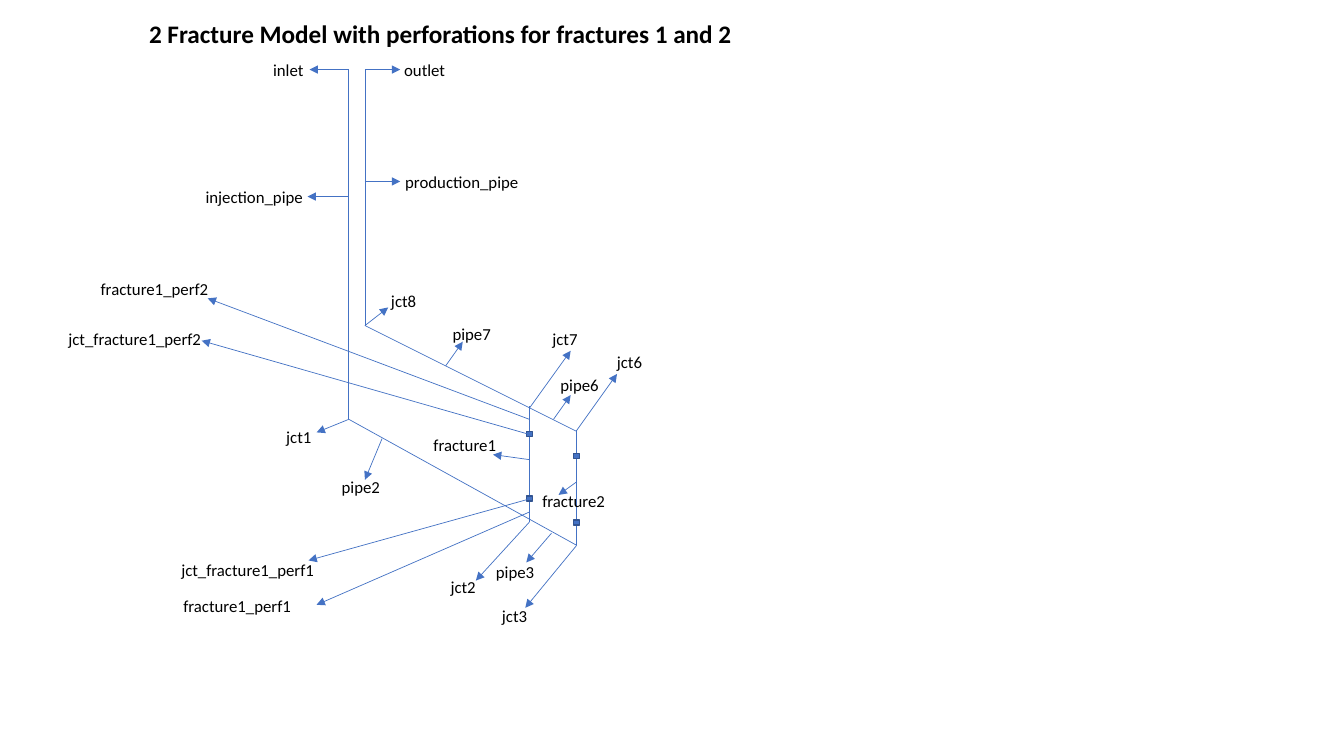
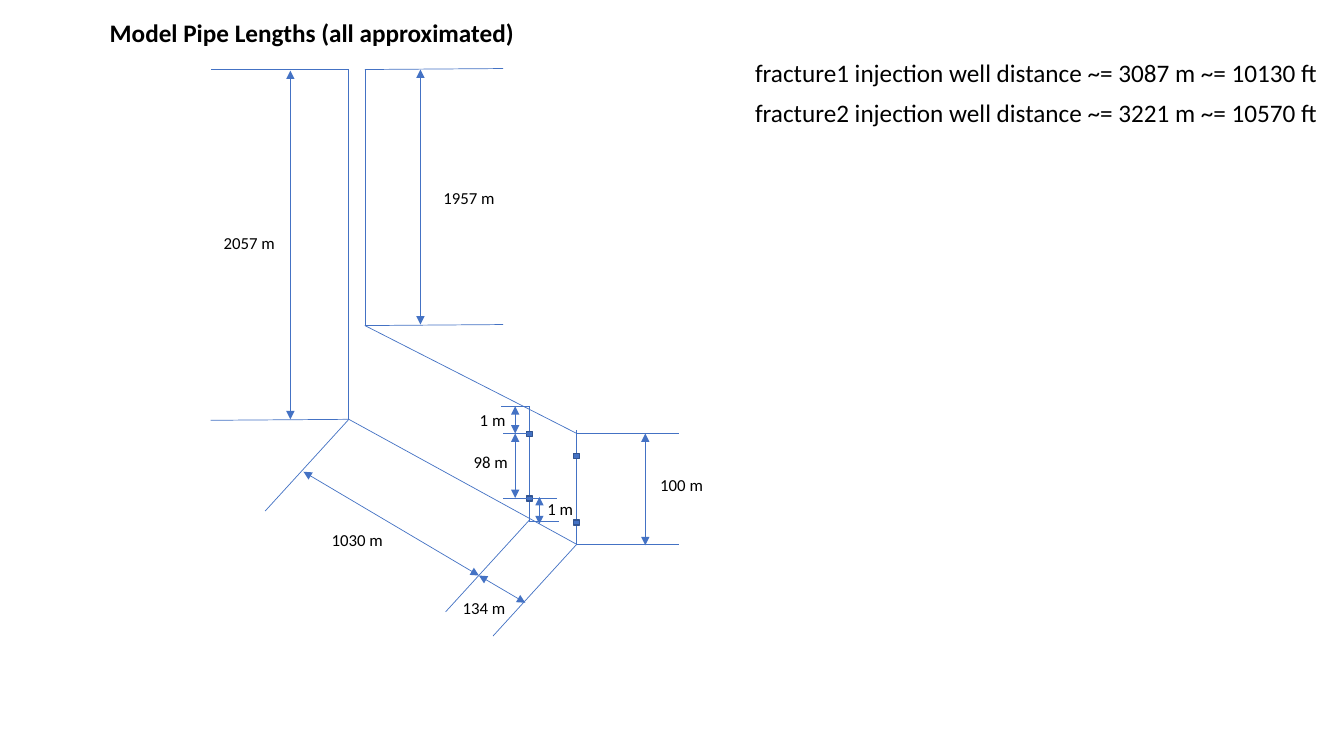
"""Build two slides that diagram a two-fracture well model."""
from typing import NamedTuple

from lxml.etree import SubElement
from pptx import Presentation
from pptx.dml.color import RGBColor
from pptx.enum.shapes import MSO_CONNECTOR as Connector
from pptx.enum.shapes import MSO_SHAPE as Shape
from pptx.enum.text import MSO_AUTO_SIZE as AutoSize
from pptx.oxml.ns import qn
from pptx.slide import Slide
from pptx.util import Pt

PX = 9144
FONT = "Calibri"
BLACK = RGBColor(0x00, 0x00, 0x00)
BLUE = RGBColor(0x44, 0x72, 0xC4)
DARK_BLUE = RGBColor(0x32, 0x54, 0x91)

INJECTION_X, PRODUCTION_X = 346, 362
FRACTURE1_X, FRACTURE2_X = 525, 572
SURFACE_Y, INJECTION_Y, PRODUCTION_Y = 69, 416, 323
PERFORATION_WIDTH, PERFORATION_HEIGHT = 6, 5


class Point(NamedTuple):
    x: int
    y: int


class Label(NamedTuple):
    text: str
    left: int
    top: int
    width: int = 80


class Callout(NamedTuple):
    start: Point
    tip: Point
    label: Label


class Dimension(NamedTuple):
    start: Point
    end: Point
    label: Label


INLET = Point(INJECTION_X, SURFACE_Y)
OUTLET = Point(PRODUCTION_X, SURFACE_Y)
INJECTION_BEND = Point(INJECTION_X, INJECTION_Y)
PRODUCTION_BEND = Point(PRODUCTION_X, PRODUCTION_Y)
FRACTURE1_TOP = Point(FRACTURE1_X, 403)
FRACTURE1_BOTTOM = Point(FRACTURE1_X, 518)
FRACTURE2_TOP = Point(FRACTURE2_X, 427)
FRACTURE2_BOTTOM = Point(FRACTURE2_X, 541)

PERFORATIONS = [
    Point(FRACTURE2_X, 516), Point(FRACTURE2_X, 450),
    Point(FRACTURE1_X, 492), Point(FRACTURE1_X, 428),
]

CALLOUTS = [
    Callout(INLET, Point(307, 69), Label("inlet", 261, 54, 53)),
    Callout(OUTLET, Point(397, 69), Label("outlet", 391, 54, 68)),
    Callout(Point(INJECTION_X, 195), Point(305, 195), Label("injection_pipe", 194, 180, 144)),
    Callout(Point(PRODUCTION_X, 180), Point(397, 180), Label("production_pipe", 392, 165, 144)),
    Callout(INJECTION_BEND, Point(314, 429), Label("jct1", 274, 418, 66)),
    Callout(Point(379, 435), Point(362, 476), Label("pipe2", 329, 468, 66)),
    Callout(FRACTURE1_BOTTOM, Point(472, 576), Label("jct2", 437, 567, 66)),
    Callout(Point(547, 529), Point(522, 558), Label("pipe3", 482, 552, 66)),
    Callout(FRACTURE2_BOTTOM, Point(521, 603), Label("jct3", 488, 596, 66)),
    Callout(FRACTURE2_TOP, Point(612, 371), Label("jct6", 602, 344, 66)),
    Callout(Point(549, 416), Point(566, 392), Label("pipe6", 546, 367, 66)),
    Callout(Point(FRACTURE1_X, 405), Point(566, 348), Label("jct7", 538, 321, 66)),
    Callout(Point(442, 363), Point(459, 339), Label("pipe7", 439, 316, 66)),
    Callout(PRODUCTION_BEND, Point(385, 305), Label("jct8", 378, 284, 66)),
    Callout(Point(FRACTURE1_X, 495), Point(306, 556), Label("jct_fracture1_perf1", 170, 550, 160)),
    Callout(Point(FRACTURE1_X, 508), Point(314, 600), Label("fracture1_perf1", 172, 586, 160)),
    Callout(Point(FRACTURE1_X, 431), Point(200, 338), Label("jct_fracture1_perf2", 58, 321, 160)),
    Callout(Point(FRACTURE1_X, 416), Point(206, 296), Label("fracture1_perf2", 90, 272, 160)),
    Callout(Point(FRACTURE1_X, 456), Point(489, 451), Label("fracture1", 420, 426, 88)),
    Callout(Point(FRACTURE2_X, 478), Point(554, 491), Label("fracture2", 528, 482, 88)),
]

DIMENSIONS = [
    Dimension(Point(288, 70), Point(288, 416), Label("2057 m", 212, 226, 76)),
    Dimension(Point(417, 69), Point(417, 322), Label("1957 m", 430, 181, 76)),
    Dimension(Point(301, 468), Point(475, 571), Label("1030 m", 319, 521)),
    Dimension(Point(475, 571), Point(521, 598), Label("134 m", 449, 588)),
    Dimension(Point(640, 430), Point(640, 541), Label("100 m", 645, 466)),
    Dimension(Point(511, 403), Point(511, 430), Label("1 m", 466, 402)),
    Dimension(Point(511, 430), Point(511, 494), Label("98 m", 460, 443)),
    Dimension(Point(535, 493), Point(535, 520), Label("1 m", 533, 490)),
]

EXTENSIONS = [
    (INLET, Point(209, 69)),
    (INJECTION_BEND, Point(209, 417)),
    (OUTLET, Point(499, 68)),
    (PRODUCTION_BEND, Point(499, 322)),
    (Point(FRACTURE2_X, 430), Point(673, 430)),
    (Point(FRACTURE2_X, 540), Point(673, 540)),
    (FRACTURE1_TOP, Point(497, 403)),
    (Point(527, 430), Point(499, 430)),
    (Point(527, 494), Point(499, 494)),
    (Point(524, 494), Point(552, 494)),
    (Point(526, 517), Point(554, 517)),
]
SLANT_STARTS = [INJECTION_BEND, Point(FRACTURE1_X, 516), Point(FRACTURE2_X, 540)]
SLANT = Point(-83, 91)

DISTANCES = [
    "fracture1 injection well distance ~= 3087 m ~= 10130 ft",
    "fracture2 injection well distance ~= 3221 m ~= 10570 ft",
]


def add_line(slide: Slide, start: Point, end: Point, *arrow_ends: str) -> None:
    """Draw a thin line with triangles at the named ends."""
    connector = slide.shapes.add_connector(
        Connector.STRAIGHT, start.x * PX, start.y * PX, end.x * PX, end.y * PX)
    connector.line.color.rgb = BLUE
    connector.line.width = Pt(0.5)
    properties = connector.element.spPr
    for arrow_end in arrow_ends:
        SubElement(properties.find(qn("a:ln")), qn(arrow_end), type="triangle")
    SubElement(properties, qn("a:effectLst"))


def add_label(slide: Slide, label: Label, size: int = 12, bold: bool = False) -> None:
    """Write one line of text in a box that fits it."""
    height = 40 if size > 12 else 30
    box = slide.shapes.add_textbox(
        label.left * PX, label.top * PX, label.width * PX, height * PX)
    text_frame = box.text_frame
    text_frame.word_wrap = True
    text_frame.auto_size = AutoSize.SHAPE_TO_FIT_TEXT
    text_frame.text = label.text
    font = text_frame.paragraphs[0].runs[0].font
    font.name, font.size, font.bold = FONT, Pt(size), bold
    font.color.rgb = BLACK


def add_title(slide: Slide, label: Label) -> None:
    """Write the bold slide title."""
    add_label(slide, label, 18, True)


def add_perforation(slide: Slide, center_x: int, top: int) -> None:
    """Mark a perforation junction on a fracture."""
    shape = slide.shapes.add_shape(
        Shape.RECTANGLE, (center_x - PERFORATION_WIDTH // 2) * PX, top * PX,
        PERFORATION_WIDTH * PX, PERFORATION_HEIGHT * PX)
    shape.shadow.inherit = False
    shape.fill.solid()
    shape.fill.fore_color.rgb = BLUE
    shape.line.color.rgb = DARK_BLUE
    shape.line.width = Pt(1)


def draw_well(slide: Slide, production_end_y: int, injection_end_y: int) -> None:
    """Draw the pipes, fractures and perforations shared by the slides."""
    pipes = [
        (INLET, INJECTION_BEND),
        (INJECTION_BEND, Point(FRACTURE2_X, injection_end_y)),
        (Point(FRACTURE2_X, production_end_y), PRODUCTION_BEND),
        (PRODUCTION_BEND, OUTLET),
        (FRACTURE2_BOTTOM, FRACTURE2_TOP),
        (FRACTURE1_BOTTOM, FRACTURE1_TOP),
    ]
    for start, end in pipes:
        add_line(slide, start, end)
    for perforation in PERFORATIONS:
        add_perforation(slide, perforation.x, perforation.y)


def build_model_slide(slide: Slide) -> None:
    """Name every part of the well model."""
    draw_well(slide, 428, 541)
    for callout in CALLOUTS:
        add_line(slide, callout.start, callout.tip, "a:tailEnd")
        add_label(slide, callout.label)
    add_title(slide, Label(
        "2 Fracture Model with perforations for fractures 1 and 2", 138, 13, 1006))


def build_lengths_slide(slide: Slide) -> None:
    """Dimension the pipes and list the well distances."""
    draw_well(slide, 430, 540)
    for start, end in EXTENSIONS:
        add_line(slide, start, end)
    for start in SLANT_STARTS:
        add_line(slide, start, Point(start.x + SLANT.x, start.y + SLANT.y))
    for dimension in DIMENSIONS:
        add_line(slide, dimension.start, dimension.end, "a:headEnd", "a:tailEnd")
        add_label(slide, dimension.label)
    add_title(slide, Label("Model Pipe Lengths (all approximated)", 99, 12, 586))
    for row, distance in enumerate(DISTANCES):
        add_label(slide, Label(distance, 739, 52 + 40 * row, 594), 18)


def main() -> None:
    """Build and save the presentation."""
    presentation = Presentation()
    presentation.slide_width = 1333 * PX
    presentation.slide_height = 750 * PX
    for build in (build_model_slide, build_lengths_slide):
        build(presentation.slides.add_slide(presentation.slide_layouts[6]))
    presentation.save("out.pptx")


if __name__ == "__main__":
    main()
